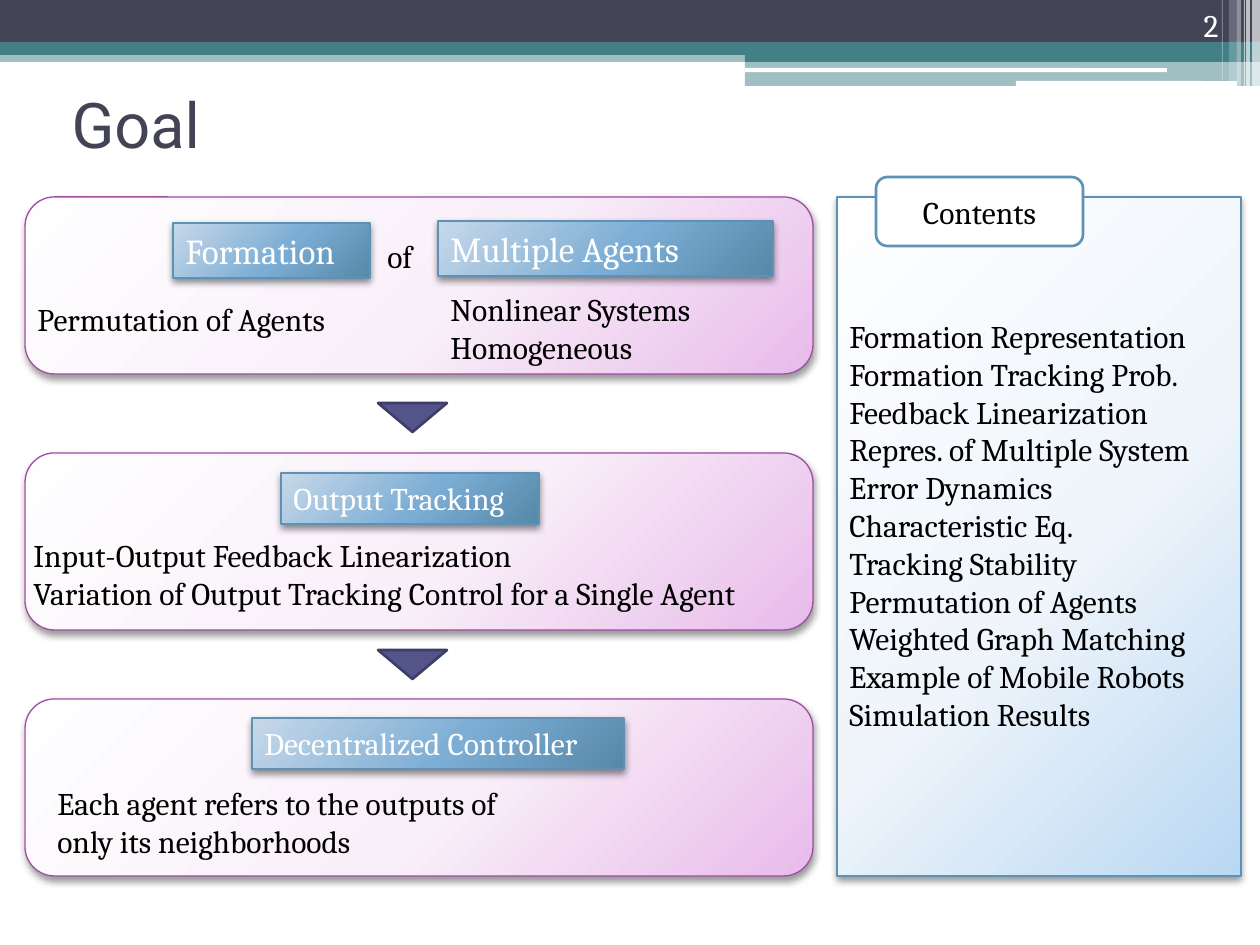
from pptx import Presentation
from pptx.dml.color import RGBColor
from pptx.enum.shapes import MSO_SHAPE
from pptx.enum.text import MSO_ANCHOR, MSO_AUTO_SIZE, PP_ALIGN
from pptx.oxml import parse_xml
from pptx.oxml.ns import nsdecls, qn
from pptx.util import Emu, Pt

PX = 914400 / 126
COLORS = {
    "white": "FFFFFF", "black": "000000", "navy": "424456", "teal": "438086",
    "purple": "A04DA3", "blue": "5C92B5", "indigo": "53548A", "indigo line": "3D3E66",
}
GRADIENTS = {
    "panel": ("FEFEFF", "F9EFF9", "E8BBEA"),
    "label": ("C7D9EA", "7CADD4", "5688A9"),
    "contents": ("FEFEFF", "EFF5FB", "BAD8F2"),
}

presentation = Presentation()
presentation.slide_width = Emu(round(1260 * PX))
presentation.slide_height = Emu(round(945 * PX))
slide = presentation.slides.add_slide(presentation.slide_layouts[5])


def add_box(kind, box, fill=None, line=None, line_width=0.75, opacity=100, shadow=0):
    """Add a shape; fill names a colour or a gradient, opacity and shadow are percents."""
    shape = slide.shapes.add_shape(kind, *(Emu(round(length * PX)) for length in box))
    shape.shadow.inherit = False
    properties = shape._element.spPr
    if fill in GRADIENTS:
        stops = "".join(
            f'<a:gs pos="{position}000"><a:srgbClr val="{color}"/></a:gs>'
            for position, color in zip((0, 55, 100), GRADIENTS[fill]))
        shape.fill.background()
        properties.replace(properties.find(qn("a:noFill")), parse_xml(
            f'<a:gradFill {nsdecls("a")} rotWithShape="1"><a:gsLst>{stops}</a:gsLst>'
            '<a:path path="circle"><a:fillToRect l="-40000" t="-90000" r="140000" b="190000"/>'
            '</a:path></a:gradFill>'))
    else:
        shape.fill.solid()
        shape.fill.fore_color.rgb = RGBColor.from_string(COLORS[fill])
        if opacity < 100:
            color = properties.find(qn("a:solidFill")).find(qn("a:srgbClr"))
            color.append(parse_xml(f'<a:alpha {nsdecls("a")} val="{opacity}000"/>'))
    if line:
        shape.line.color.rgb = RGBColor.from_string(COLORS[line])
        shape.line.width = Pt(line_width)
    else:
        shape.line.fill.background()
    if shadow:
        properties.find(qn("a:effectLst")).append(parse_xml(
            f'<a:outerShdw {nsdecls("a")} blurRad="51000" dist="25400" dir="5400000" '
            f'rotWithShape="0"><a:srgbClr val="000000"><a:alpha val="{shadow}000"/>'
            '</a:srgbClr></a:outerShdw>'))
    return shape


def write(shape, text, size=18, color="black", align=PP_ALIGN.LEFT,
          anchor=MSO_ANCHOR.TOP, font="Cambria"):
    """Put text in a shape, one paragraph for each line."""
    frame = shape.text_frame
    frame.text = text
    frame.word_wrap = True
    frame.auto_size = MSO_AUTO_SIZE.NONE
    frame.vertical_anchor = anchor
    for paragraph in frame.paragraphs:
        paragraph.alignment = align
        paragraph.font.name = font
        paragraph.font.size = Pt(size)
        paragraph.font.color.rgb = RGBColor.from_string(COLORS[color])


# Header bands
for box, color, opacity in (
    ((0, 50, 1260, 12), "teal", 50),
    ((0, 0, 1260, 43), "navy", 100),
    ((0, 42, 1260, 13), "teal", 100),
    ((745, 49, 515, 13), "teal", 100),
    ((745, 61, 515, 25), "teal", 50),
):
    add_box(MSO_SHAPE.RECTANGLE, box, color, opacity=opacity)
for box in ((745, 68, 422, 4), (1016, 81, 221, 5)):
    add_box(MSO_SHAPE.ROUNDED_RECTANGLE, box, "white")

# Light stripes at the right end of the header
for left, width, height, opacity in (
    (1252, 8, 86, 65), (1246, 4, 86, 65), (1244, 1, 86, 60),
    (1237, 4, 86, 40), (1229, 8, 81, 20), (1222, 1, 81, 30),
):
    add_box(MSO_SHAPE.RECTANGLE, (left, 0, width, height), "white", opacity=opacity)

# Title
title = slide.shapes.title
title.left, title.top, title.width, title.height = (
    Emu(round(length * PX)) for length in (59, 59, 1134, 129))
write(title, "Goal", 36, "navy", anchor=MSO_ANCHOR.MIDDLE, font="Roboto")

# Step panels, with a pointer between each pair
for top in (197, 453, 699):
    add_box(MSO_SHAPE.ROUNDED_RECTANGLE, (25, top, 788, 177), "panel", "purple", shadow=40)
for top in (403, 650):
    add_box(MSO_SHAPE.FLOWCHART_MERGE, (378, top, 69, 29), "indigo", "indigo line", 1.5)

# Panel labels
for box, text, size in (
    ((173, 223, 197, 55), "Formation", 20),
    ((438, 221, 335, 55), "Multiple Agents", 20),
    ((281, 473, 258, 51), "Output Tracking", 18),
    ((252, 718, 372, 51), "Decentralized Controller", 18),
):
    label = add_box(MSO_SHAPE.RECTANGLE, box, "label", "blue", shadow=45)
    write(label, text, size, "white")

# Panel notes
for box, text in (
    ((375, 231, 60, 51), "of"),
    ((438, 284, 291, 89), "Nonlinear Systems\nHomogeneous"),
    ((25, 294, 343, 51), "Permutation of Agents"),
    ((21, 530, 805, 89), "Input-Output Feedback Linearization\n"
                         "Variation of Output Tracking Control for a Single Agent"),
    ((45, 778, 516, 89), "Each agent refers to the outputs of\vonly its neighborhoods"),
):
    note = slide.shapes.add_textbox(*(Emu(round(length * PX)) for length in box))
    write(note, text)

# Slide number
number = slide.shapes.add_textbox(*(Emu(round(length * PX)) for length in (1126, 0, 105, 50)))
write(number, "2", color="white", align=PP_ALIGN.RIGHT, anchor=MSO_ANCHOR.BOTTOM)

# Contents list and its tab
contents = add_box(MSO_SHAPE.RECTANGLE, (837, 197, 404, 679), "contents", "blue", shadow=40)
write(contents, "\n".join((
    "Formation Representation", "Formation Tracking Prob.", "Feedback Linearization",
    "Repres. of Multiple System", "Error Dynamics", "Characteristic Eq.",
    "Tracking Stability", "Permutation of Agents", "Weighted Graph Matching",
    "Example of Mobile Robots", "Simulation Results")))
contents.text_frame.margin_top = Emu(round(120 * PX))
tab = add_box(MSO_SHAPE.ROUNDED_RECTANGLE, (876, 177, 207, 69), "white", "blue", 1.5)
write(tab, "Contents", align=PP_ALIGN.CENTER, anchor=MSO_ANCHOR.MIDDLE)

presentation.save("out.pptx")
